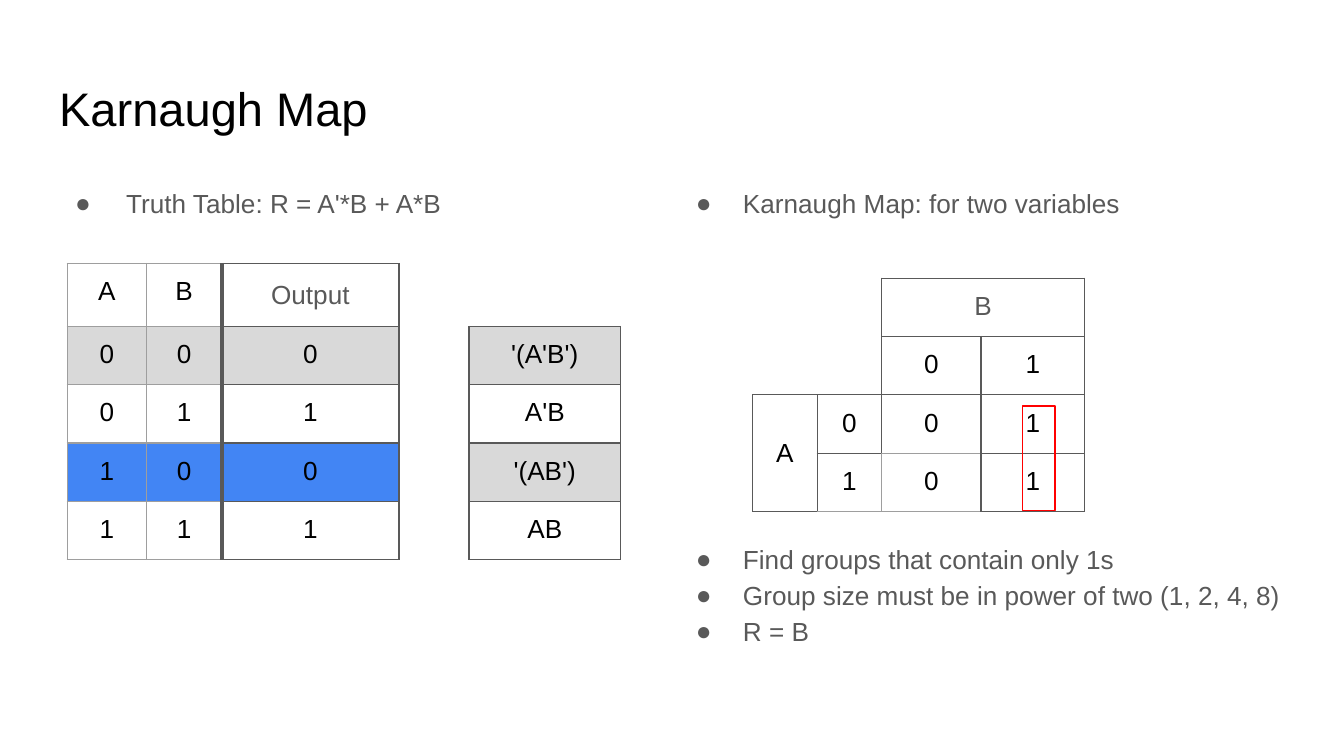
from lxml.etree import SubElement
from pptx import Presentation
from pptx.dml.color import RGBColor
from pptx.enum.shapes import MSO_SHAPE
from pptx.enum.text import MSO_ANCHOR, PP_ALIGN
from pptx.oxml.ns import qn
from pptx.util import Inches, Pt

BLACK = RGBColor(0x00, 0x00, 0x00)
DARK = RGBColor(0x59, 0x59, 0x59)
GREY = RGBColor(0x9E, 0x9E, 0x9E)
LIGHT = RGBColor(0xD9, 0xD9, 0xD9)
BLUE = RGBColor(0x42, 0x85, 0xF4)
RED = RGBColor(0xFF, 0x00, 0x00)

MARGIN = 0.34
BODY_TOP, BODY_HEIGHT = 1.26, 3.74
ROW = 0.43
THIN, THICK = 0.75, 2.25
SIDES = {"L": (0, -1), "R": (0, 1), "T": (-1, 0), "B": (1, 0)}


def write(para, text, colour, size=14):
    span = para.add_run()
    span.text = text
    span.font.name = "Arial"
    span.font.size = Pt(size)
    span.font.color.rgb = colour


def build_table(left, top, widths, texts, fills, edges, dark_text):
    """None is an empty cell, "" a cell covered by a merge; edges overrides borders."""
    frame = page.shapes.add_table(len(texts), len(widths), Inches(left), Inches(top),
                                  Inches(sum(widths)), Inches(ROW * len(texts)))
    table = frame.table
    table.first_row = table.horz_banding = False
    for column, width in zip(table.columns, widths):
        column.width = Inches(width)
    filled = {(r, c) for r, row in enumerate(texts)
              for c, text in enumerate(row) if text is not None}
    for r, row in enumerate(texts):
        table.rows[r].height = Inches(ROW)
        for c, text in enumerate(row):
            cell = table.cell(r, c)
            cell.margin_left = cell.margin_right = Inches(0.1)
            cell.margin_top = cell.margin_bottom = Inches(0.1)
            para = cell.text_frame.paragraphs[0]
            para.alignment = PP_ALIGN.CENTER
            para.font.size = Pt(14)
            if text:
                write(para, text, DARK if (r, c) == dark_text else BLACK)
            # Borders go on every side that touches a cell in use
            properties = cell._tc.get_or_add_tcPr()
            for side, (down, across) in SIDES.items():
                colour, width = edges.get((r, c, side), (DARK, THIN))
                line = SubElement(properties, qn(f"a:ln{side}"), w=str(Pt(width)))
                if filled & {(r, c), (r + down, c + across)}:
                    solid = SubElement(line, qn("a:solidFill"))
                    SubElement(solid, qn("a:srgbClr"), val=str(colour))
                else:
                    SubElement(line, qn("a:noFill"))
            if (r, c) in fills:
                cell.fill.solid()
                cell.fill.fore_color.rgb = fills[r, c]
            else:
                cell.fill.background()
    return table


# Widescreen page, 16 to 9
deck = Presentation()
deck.slide_width = Inches(10)
deck.slide_height = Inches(10) * 9 // 16
page = deck.slides.add_slide(deck.slide_layouts[5])

# Title
title = page.shapes.title
title.left, title.top = Inches(MARGIN), Inches(0.49)
title.width, title.height = Inches(10 - 2 * MARGIN), Inches(0.63)
frame = title.text_frame
frame.margin_left = frame.margin_right = Inches(0.1)
frame.margin_top = frame.margin_bottom = Inches(0.1)
frame.vertical_anchor = MSO_ANCHOR.MIDDLE
frame.paragraphs[0].alignment = PP_ALIGN.LEFT
write(frame.paragraphs[0], "Karnaugh Map", BLACK, 25.2)

# Bullet columns; the second right-hand bullet starts below the map
MAP_GAP = 171.5
columns = [
    (MARGIN, 4.43, 0.38, [("Truth Table: R = A'*B + A*B", 0)]),
    (4.93, 4.83, 0.35, [("Karnaugh Map: for two variables", 0),
                        ("Find groups that contain only 1s", MAP_GAP),
                        ("Group size must be in power of two (1, 2, 4, 8)", 0),
                        ("R = B", 0)]),
]
for left, width, hanging, bullets in columns:
    box = page.shapes.add_textbox(Inches(left), Inches(BODY_TOP),
                                  Inches(width), Inches(BODY_HEIGHT))
    frame = box.text_frame
    frame.word_wrap = True
    frame.margin_left = frame.margin_right = Inches(0.1)
    frame.margin_top = frame.margin_bottom = Inches(0.1)
    for number, (text, gap) in enumerate(bullets):
        para = frame.add_paragraph() if number else frame.paragraphs[0]
        para.line_spacing = 1.15
        para.space_before = Pt(gap)
        properties = para._p.get_or_add_pPr()
        properties.set("marL", str(Inches(0.5)))
        properties.set("indent", str(-Inches(hanging)))
        bullet_colour = SubElement(properties, qn("a:buClr"))
        SubElement(bullet_colour, qn("a:srgbClr"), val=str(DARK))
        SubElement(properties, qn("a:buFont"), typeface="Arial")
        SubElement(properties, qn("a:buChar"), char="●")
        write(para, text, DARK)

# Truth table with its product terms
truth_texts = [
    ["A", "B", "Output", None, None],
    ["0", "0", "0", None, "'(A'B')"],
    ["0", "1", "1", None, "A'B"],
    ["1", "0", "0", None, "'(AB')"],
    ["1", "1", "1", None, "AB"],
]
truth_edges = {(r, c, side): (GREY, THIN)
               for r in range(5) for c in range(2) for side in SIDES}
for r in range(5):
    truth_edges[r, 1, "R"] = truth_edges[r, 2, "L"] = (DARK, THICK)
truth_fills = {(r, c): colour for r, colour in ((1, LIGHT), (3, BLUE)) for c in range(3)}
truth_fills.update({(1, 4): LIGHT, (3, 4): LIGHT})
truth = build_table(0.5, 1.96, [0.59, 0.56, 1.32, 0.52, 1.13],
                    truth_texts, truth_fills, truth_edges, (0, 2))
truth.cell(0, 2).text_frame.paragraphs[0].line_spacing = 1.15

# Karnaugh map
map_texts = [
    [None, None, "B", ""],
    [None, None, "0", "1"],
    ["A", "0", "0", "1"],
    ["", "1", "0", "1"],
]
grey_edges = [(2, 2, "B"), (3, 1, "R"), (3, 1, "B"),
              (3, 2, "L"), (3, 2, "T"), (3, 2, "B")]
karnaugh = build_table(5.6, 2.07, [0.48, 0.48, 0.74, 0.77], map_texts, {},
                       {edge: (GREY, THIN) for edge in grey_edges}, (0, 2))
karnaugh.cell(0, 2).merge(karnaugh.cell(0, 3))
karnaugh.cell(2, 0).merge(karnaugh.cell(3, 0))
karnaugh.cell(2, 0).vertical_anchor = MSO_ANCHOR.MIDDLE

# Group of ones
group = page.shapes.add_shape(MSO_SHAPE.RECTANGLE, Inches(7.61), Inches(3.02),
                              Inches(0.24), Inches(0.78))
group.shadow.inherit = False
group.fill.background()
group.line.color.rgb = RED
group.line.width = Pt(THIN)

deck.save("out.pptx")
